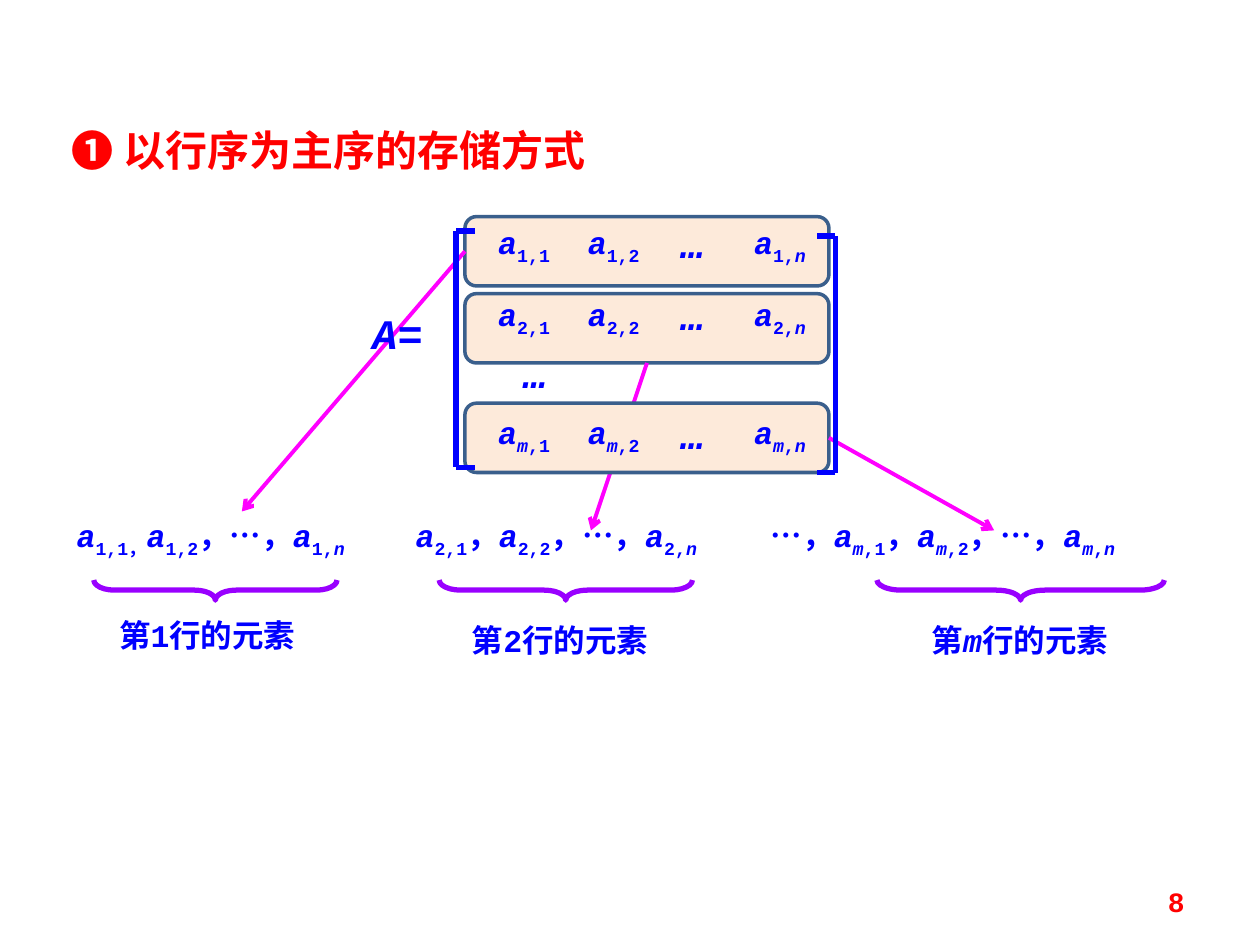
from dataclasses import dataclass
from itertools import groupby

from lxml import etree
from pptx import Presentation
from pptx.dml.color import RGBColor
from pptx.enum.shapes import MSO_CONNECTOR, MSO_SHAPE
from pptx.enum.text import MSO_ANCHOR, MSO_AUTO_SIZE, PP_ALIGN
from pptx.oxml.ns import qn
from pptx.util import Pt

STRAIGHT = MSO_CONNECTOR.STRAIGHT
ROUNDED, BRACE = MSO_SHAPE.ROUNDED_RECTANGLE, MSO_SHAPE.LEFT_BRACE
TOP, MIDDLE = MSO_ANCHOR.TOP, MSO_ANCHOR.MIDDLE
GROW = MSO_AUTO_SIZE.SHAPE_TO_FIT_TEXT
LEFT, CENTER = PP_ALIGN.LEFT, PP_ALIGN.CENTER
RIGHT, JUSTIFY = PP_ALIGN.RIGHT, PP_ALIGN.JUSTIFY


@dataclass(frozen=True)
class Theme:
    font: str = "Courier New"
    heading: RGBColor = RGBColor(0xFF, 0x00, 0x00)
    math: RGBColor = RGBColor(0x00, 0x00, 0xFF)
    arrow: RGBColor = RGBColor(0xFF, 0x00, 0xFF)
    brace: RGBColor = RGBColor(0x99, 0x00, 0xFF)
    row_fill: RGBColor = RGBColor(0xFD, 0xEA, 0xDA)
    row_line: RGBColor = RGBColor(0x3A, 0x5F, 0x8C)
    heading_size: int = 24
    dots_size: int = 22
    math_size: int = 18
    number_size: int = 16


theme = Theme()
prs = Presentation()
prs.slide_width, prs.slide_height = Pt(720), Pt(540)
slide = prs.slides.add_slide(prs.slide_layouts[5])
shapes = slide.shapes


def write(box, text, size=theme.math_size, align=CENTER, color=theme.math,
          inset=None, anchor=TOP):
    """Write text: {…} is a subscript, Latin letters are italic."""
    frame = box.text_frame
    frame.word_wrap, frame.auto_size = True, GROW
    frame.vertical_anchor = anchor
    if inset is not None:
        frame.margin_left = frame.margin_right = Pt(inset)
        frame.margin_top = frame.margin_bottom = Pt(inset)
    paragraph = frame.paragraphs[0]
    paragraph.alignment = align
    font = paragraph.font
    font.name, font.size, font.bold = theme.font, Pt(size), True
    font.color.rgb = color
    for index, part in enumerate(text.replace("}", "{").split("{")):
        for italic, letters in groupby(part, lambda c: c.isascii() and c.isalpha()):
            run = paragraph.add_run()
            run.text = "".join(letters)
            run.font.italic = italic
            if index % 2:
                run.font._element.set("baseline", "-25000")
    return paragraph


def draw_line(x1, y1, x2, y2, color, width):
    line = shapes.add_connector(STRAIGHT, Pt(x1), Pt(y1), Pt(x2), Pt(y2))
    line.line.color.rgb, line.line.width = color, Pt(width)
    etree.SubElement(line._element.spPr, qn("a:effectLst"))
    return line


# Heading
heading = shapes.title
heading.left, heading.top, heading.width, heading.height = Pt(33.8), Pt(67.7), Pt(337.7), Pt(36)
write(heading, "❶ 以行序为主序的存储方式", theme.heading_size, LEFT, theme.heading)

# Matrix rows, each with an arrow to its stored elements
# row top, connection side, arrow start, arrow end
matrix_rows = [
    (167.8, 2, (369.7, 207.4), (337.7, 303.1)),
    (123.8, 1, (265.7, 143.6), (138.2, 292.3)),
    (230.4, 3, (473.7, 250.2), (568.1, 303.1)),
]
for top, side, start, end in matrix_rows:
    row = shapes.add_shape(ROUNDED, Pt(265.7), Pt(top), Pt(208), Pt(39.6))
    row.shadow.inherit = False
    row.fill.solid()
    row.fill.fore_color.rgb = theme.row_fill
    row.line.color.rgb, row.line.width = theme.row_line, Pt(2)
    arrow = draw_line(*start, *end, theme.arrow, 2.25)
    arrow.begin_connect(row, side)
    etree.SubElement(arrow.line._get_or_add_ln(), qn("a:tailEnd"), type="arrow")

# Stored sequence: elements, brace and label for each row
# text, left, width, brace centre, brace length, brace bend, label, label left, label top
stored_rows = [
    ("a{1,1，}a{1,2}，…，a{1,n}", 36.7, 193.7, 123.1, 139, 1.03, "第1行的元素", 44.6, 348.5),
    ("a{2,1}，a{2,2}，…，a{2,n}", 230.4, 202.3, 323.3, 144.7, 1.07, "第2行的元素", 246.2, 351.4),
    ("…，a{m,1}，a{m,2}，…，a{m,n}", 433.4, 258.5, 583.2, 164.2, 1.22, "第m行的元素", 509, 351.4),
]
brace_width, brace_middle = 11.5, 337.2
for text, left, width, center, length, bend, label, label_left, label_top in stored_rows:
    elements = shapes.add_textbox(Pt(left), Pt(286.6), Pt(width), Pt(33.1))
    write(elements, text, align=JUSTIFY).line_spacing = 1.2
    brace = shapes.add_shape(BRACE, Pt(center - brace_width / 2), Pt(brace_middle - length / 2),
                             Pt(brace_width), Pt(length))
    brace.rotation = 270
    brace.adjustments[0] = bend
    brace.shadow.inherit = False
    brace.fill.background()
    brace.line.color.rgb, brace.line.width = theme.brace, Pt(3)
    caption = shapes.add_textbox(Pt(label_left), Pt(label_top), Pt(147.6), Pt(28.8))
    write(caption, label)

# Matrix name and brackets
matrix_name = shapes.add_textbox(Pt(204.5), Pt(172.1), Pt(45.4), Pt(36))
write(matrix_name, "A=", theme.heading_size)
for x, tip, top, bottom in [(260.6, 271.4, 132, 267), (477.4, 466.6, 134.8, 270)]:
    draw_line(x, top, x, bottom, theme.math, 3)
    for y in (top, bottom):
        draw_line(x, y, tip, y, theme.math, 3)

# Matrix elements
dots_places = [(283, 200.2)]
for row_index, top in [("1", 127.4), ("2", 168.5), ("m", 236.2)]:
    for column_index, left in [("1", 271.4), ("2", 322.6), ("n", 417.6)]:
        element = shapes.add_textbox(Pt(left), Pt(top), Pt(56.2), Pt(21.6))
        write(element, f"a{{{row_index},{column_index}}}", inset=0)
    dots_places.append((373, top - 1.4))
for left, top in dots_places:
    dots = shapes.add_textbox(Pt(left), Pt(top), Pt(45.4), Pt(26.6))
    write(dots, "…", theme.dots_size, inset=0).runs[0].font.italic = True

# Page number
page_number = shapes.add_textbox(Pt(516.2), Pt(500.4), Pt(167.8), Pt(28.8))
write(page_number, "8", theme.number_size, RIGHT, theme.heading, anchor=MIDDLE)

prs.save("out.pptx")
